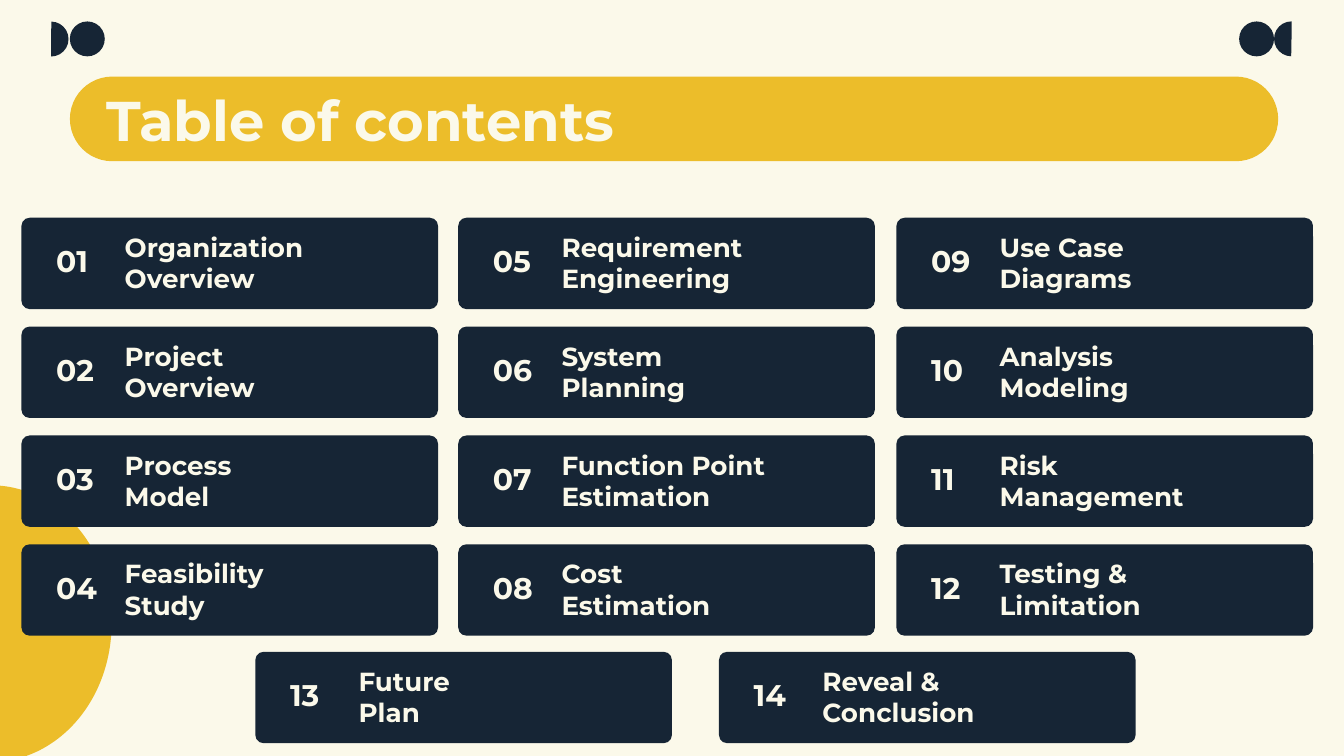
from dataclasses import dataclass

from pptx import Presentation
from pptx import util as u
from pptx.dml.color import RGBColor
from pptx.enum import shapes, text

PX = 9144  # 100 px to the inch
WIDTH = 1000
KIND = shapes.MSO_SHAPE


@dataclass(frozen=True)
class Theme:
    font: str = "Montserrat"
    cream: str = "FBF9EA"
    navy: str = "162535"
    gold: str = "ECBD2A"
    title: int = 30
    number: int = 16
    label: int = 14


@dataclass(frozen=True)
class Box:
    x: int
    y: int
    w: int
    h: int

    def emu(self) -> tuple:
        return tuple(u.Emu(v * PX) for v in (self.x, self.y, self.w, self.h))


@dataclass(frozen=True)
class Card:
    x: int
    y: int
    number: int
    label: str


THEME = Theme()
COLUMNS = (
    ("Organization\nOverview", "Project\nOverview",
     "Process\nModel", "Feasibility\nStudy"),
    ("Requirement\nEngineering", "System\nPlanning",
     "Function Point\nEstimation", "Cost\nEstimation"),
    ("Use Case\nDiagrams", "Analysis\nModeling",
     "Risk\nManagement", "Testing &\nLimitation"),
)
LAST = ("Future\nPlan", "Reveal &\nConclusion")


def draw(slide, kind, box: Box, color: str, adjust=(), turn: int = 0):
    shape = slide.shapes.add_shape(kind, *box.emu())
    shape.shadow.inherit = False
    shape.fill.solid()
    shape.fill.fore_color.rgb = RGBColor.from_string(color)
    shape.line.fill.background()
    shape.rotation = turn
    for i, value in enumerate(adjust):
        shape.adjustments[i] = value
    return shape


def write(shape, words: str, *, size: int, inset: int = 10,
          anchor=text.MSO_ANCHOR.MIDDLE) -> None:
    frame = shape.text_frame
    frame.text = words
    frame.word_wrap = True
    frame.auto_size = text.MSO_AUTO_SIZE.NONE
    frame.vertical_anchor = anchor
    frame.margin_left = frame.margin_right = u.Emu(inset * PX)
    frame.margin_top = frame.margin_bottom = u.Emu(inset * PX)
    for line in frame.paragraphs:
        line.alignment = text.PP_ALIGN.LEFT
        line.line_spacing = 1.0
        line.space_before = u.Pt(0)
        for run in line.runs:
            font = run.font
            font.name, font.size, font.bold = THEME.font, u.Pt(size), True
            font.color.rgb = RGBColor.from_string(THEME.cream)


def add_card(slide, card: Card) -> None:
    x, y = card.x, card.y
    draw(slide, KIND.ROUNDED_RECTANGLE, Box(x, y, 310, 68),
         THEME.navy, (0.09,))
    label = slide.shapes.add_textbox(*Box(x + 67, y, 243, 68).emu())
    write(label, card.label, size=THEME.label, anchor=text.MSO_ANCHOR.TOP)
    number = slide.shapes.add_textbox(*Box(x + 16, y + 6, 54, 52).emu())
    write(number, f"{card.number:02d}", size=THEME.number)


def add_decor(slide) -> None:
    draw(slide, KIND.PIE, Box(-97, 361, 180, 206), THEME.gold,
         (53.46, 162), 180)
    size = 26
    for turn, half, dot in ((180, 25, 52),
                            (0, WIDTH - size - 26, WIDTH - size - 52)):
        draw(slide, KIND.PIE, Box(half, 16, size, size), THEME.navy,
             (54.58, 162), turn)
        draw(slide, KIND.OVAL, Box(dot, 16, size, size), THEME.navy)


def add_title(slide) -> None:
    bar = draw(slide, KIND.ROUNDED_RECTANGLE, Box(52, 57, 899, 63),
               THEME.gold, (0.5,))
    title = slide.shapes.title
    title.left, title.top, title.width, title.height = Box(
        79, 57, 843, 63).emu()
    write(title, "Table of contents", size=THEME.title, inset=0)
    bar.element.addnext(title.element)  # title in front of its bar


def list_cards() -> list[Card]:
    """Number the cards down each column, then along the last row."""
    spots = [(16 + col * 651 // 2, 162 + row * 81, label)
             for col, labels in enumerate(COLUMNS)
             for row, label in enumerate(labels)]
    spots += [(190 + i * 345, 485, label) for i, label in enumerate(LAST)]
    return [Card(x, y, n, label) for n, (x, y, label) in enumerate(spots, 1)]


def main() -> None:
    deck = Presentation()
    deck.slide_width = u.Emu(WIDTH * PX)
    deck.slide_height = u.Emu(WIDTH * PX * 9 // 16)
    slide = deck.slides.add_slide(deck.slide_layouts[5])
    back = slide.background.fill
    back.solid()
    back.fore_color.rgb = RGBColor.from_string(THEME.cream)
    add_decor(slide)
    add_title(slide)
    for card in list_cards():
        add_card(slide, card)
    deck.save("out.pptx")


if __name__ == "__main__":
    main()
